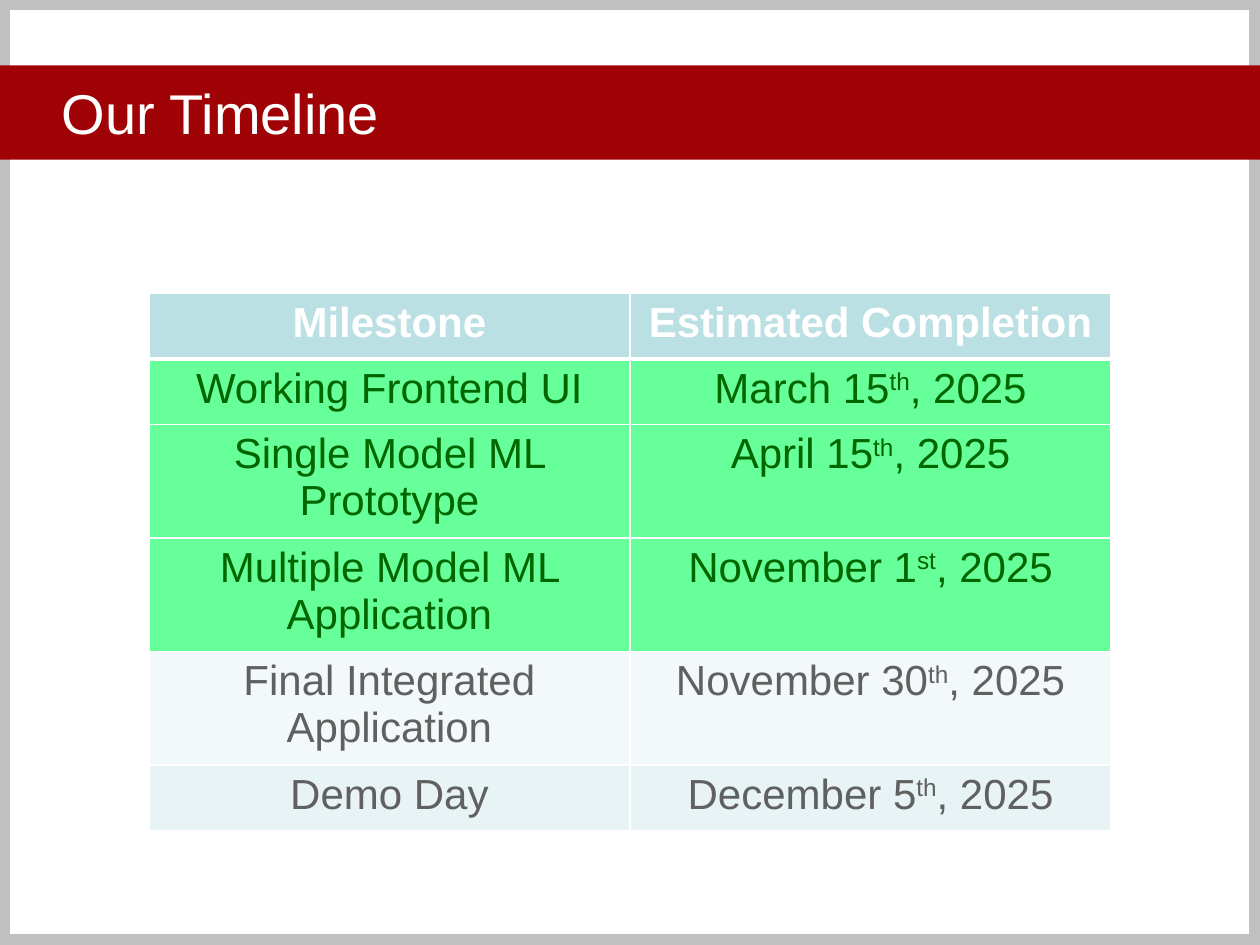
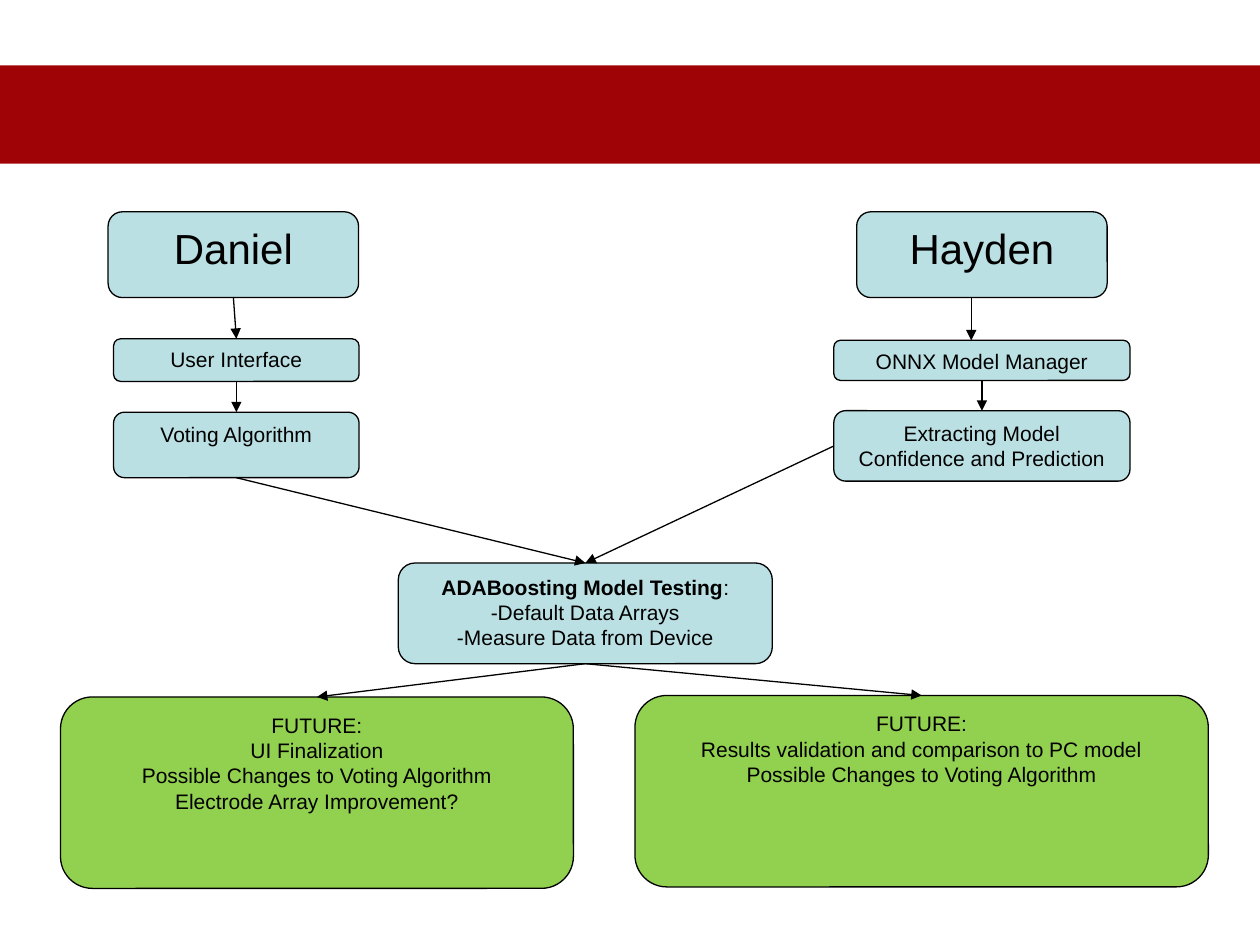
from lxml import etree
from pptx import Presentation
from pptx.dml.color import RGBColor
from pptx.enum.shapes import MSO_CONNECTOR, MSO_SHAPE
from pptx.enum.text import MSO_ANCHOR, PP_ALIGN
from pptx.oxml.ns import qn
from pptx.util import Cm, Pt

RECT = MSO_SHAPE.RECTANGLE
ROUND = MSO_SHAPE.ROUNDED_RECTANGLE
LINE = MSO_CONNECTOR.STRAIGHT
MID, TOP = MSO_ANCHOR.MIDDLE, MSO_ANCHOR.TOP
LEFT, MIDST = PP_ALIGN.LEFT, PP_ALIGN.CENTER
UP, WEST, DOWN = 0, 1, 2

FONT = "Arial"
RED, WHITE, BLACK, GRAY = "9F0305", "FFFFFF", "000000", "C0C0C0"
BLUE, LIME = "BBE0E3", "92D050"
DONE, DARK, TEXT = "66FF99", "006600", "606060"
PALE, TINT = "F3F9FA", "E7F3F4"

ROWS = [
    ("Working Frontend UI", "March 15", "th", DONE, DARK),
    ("Single Model ML Prototype", "April 15", "th", DONE, DARK),
    ("Multiple Model ML Application", "November 1", "st", DONE, DARK),
    ("Final Integrated Application", "November 30", "th", PALE, TEXT),
    ("Demo Day", "December 5", "th", TINT, TEXT),
]


def tone(code):
    return RGBColor.from_string(code)


def write(frame, *lines, size=12, color=BLACK, bold=False, align=MIDST, anchor=TOP):
    frame.word_wrap = True
    frame.vertical_anchor = anchor
    for i, line in enumerate(lines):
        para = frame.paragraphs[0] if i == 0 else frame.add_paragraph()
        para.alignment = align
        for words, look in [(line, {})] if isinstance(line, str) else line:
            run = para.add_run()
            run.text = words
            run.font.name = FONT
            run.font.size = Pt(size)
            run.font.bold = look.get("bold", bold)
            run.font.color.rgb = tone(color)
            if "raise" in look:
                run._r.get_or_add_rPr().set("baseline", str(look["raise"]))


def block(slide, kind, place, fill=None, line=None, width=0.75):
    shape = slide.shapes.add_shape(kind, *map(Cm, place))
    shape.shadow.inherit = False
    if fill:
        shape.fill.solid()
        shape.fill.fore_color.rgb = tone(fill)
    else:
        shape.fill.background()
    if line:
        shape.line.color.rgb = tone(line)
        shape.line.width = Pt(width)
    else:
        shape.line.fill.background()
    return shape


def band(slide):
    block(slide, RECT, (-0.25, 1.32, 25.83, 1.9), RED)


def title(slide, words):
    box = slide.shapes.add_textbox(Cm(0.99), Cm(1.42), Cm(23.01), Cm(1.68))
    write(box.text_frame, words, size=32, color=WHITE, align=LEFT, anchor=MID)


def node(slide, place, *lines, fill=BLUE, size=12):
    shape = block(slide, ROUND, place, fill, BLACK)
    write(shape.text_frame, *lines, size=size)
    return shape


def arrow(slide, start=(0, 0), end=(0, 0)):
    link = slide.shapes.add_connector(LINE, *map(Cm, start + end))
    link.line.color.rgb = tone(BLACK)
    link.line.width = Pt(0.75)
    etree.SubElement(link.line._get_or_add_ln(), qn("a:tailEnd"), type="triangle")
    etree.SubElement(link._element.spPr, qn("a:effectLst"))
    return link


def join(slide, first, last, side=DOWN):
    link = arrow(slide)
    link.begin_connect(first, side)
    link.end_connect(last, UP)


def edge(cell, top, low):
    props = cell._tc.get_or_add_tcPr()
    for tag, width in (("lnL", 1), ("lnR", 1), ("lnT", top), ("lnB", low)):
        line = etree.SubElement(props, qn("a:" + tag), w=str(Pt(width)))
        fill = etree.SubElement(line, qn("a:solidFill"))
        etree.SubElement(fill, qn("a:srgbClr"), val=WHITE)


def fill_row(table, row, pair, fill, color, bold=False):
    for col, line in enumerate(pair):
        cell = table.cell(row, col)
        edge(cell, 3 if row == 1 else 1, 3 if row == 0 else 1)
        cell.fill.solid()
        cell.fill.fore_color.rgb = tone(fill)
        write(cell.text_frame, line, size=24, color=color, bold=bold)


def plan(slide):
    count = len(ROWS) + 1
    place = map(Cm, (3, 5.92, 19.4, 1.32 * count))
    table = slide.shapes.add_table(count, 2, *place).table
    table.first_row = table.horz_banding = False
    fill_row(table, 0, ("Milestone", "Estimated Completion"), BLUE, WHITE, True)
    for row, (goal, day, mark, fill, color) in enumerate(ROWS, 1):
        date = [(day, {}), (mark, {"raise": 30000}), (", 2025", {})]
        fill_row(table, row, (goal, date), fill, color)


def flow(slide):
    dan = node(slide, (2.18, 4.27, 5.05, 1.73), "Daniel", size=24)
    hay = node(slide, (17.27, 4.27, 5.05, 1.73), "Hayden", size=24)
    face = node(slide, (2.29, 6.83, 4.95, 0.86), "User Interface")
    onnx = node(slide, (16.81, 6.86, 5.97, 0.81), "ONNX Model Manager")
    vote = node(slide, (2.29, 8.31, 4.95, 1.32), "Voting Algorithm")
    pull = node(slide, (16.81, 8.28, 5.97, 1.42),
                "Extracting Model Confidence and Prediction")
    test = node(slide, (8.03, 11.35, 7.54, 2.03),
                [("ADABoosting Model Testing", {"bold": True}), (":", {})],
                "-Default Data Arrays", "-Measure Data from Device")
    next_ui = node(slide, (1.22, 14.05, 10.34, 3.86), "FUTURE:", "UI Finalization",
                   "Possible Changes to Voting Algorithm",
                   "Electrode Array Improvement?", fill=LIME)
    next_ml = node(slide, (12.8, 14.02, 11.56, 3.86), "FUTURE:",
                   "Results validation and comparison to PC model",
                   "Possible Changes to Voting Algorithm", fill=LIME)
    arrow(slide, (19.58, 6), (19.58, 6.86))
    for first, last in ((dan, face), (face, vote), (vote, test), (onnx, pull),
                        (test, next_ui), (test, next_ml)):
        join(slide, first, last)
    join(slide, pull, test, WEST)


def main():
    deck = Presentation()
    deck.slide_width, deck.slide_height = Cm(25.4), Cm(19.05)
    blank = deck.slide_layouts[6]

    slide = deck.slides.add_slide(blank)
    block(slide, RECT, (0, 0, 25.4, 19.05), line=GRAY, width=12)
    band(slide)
    title(slide, "Our Timeline")
    plan(slide)

    slide = deck.slides.add_slide(blank)
    block(slide, RECT, (0, 1.4, 25.83, 1.9), RED)
    band(slide)
    flow(slide)

    deck.save("out.pptx")


if __name__ == "__main__":
    main()
